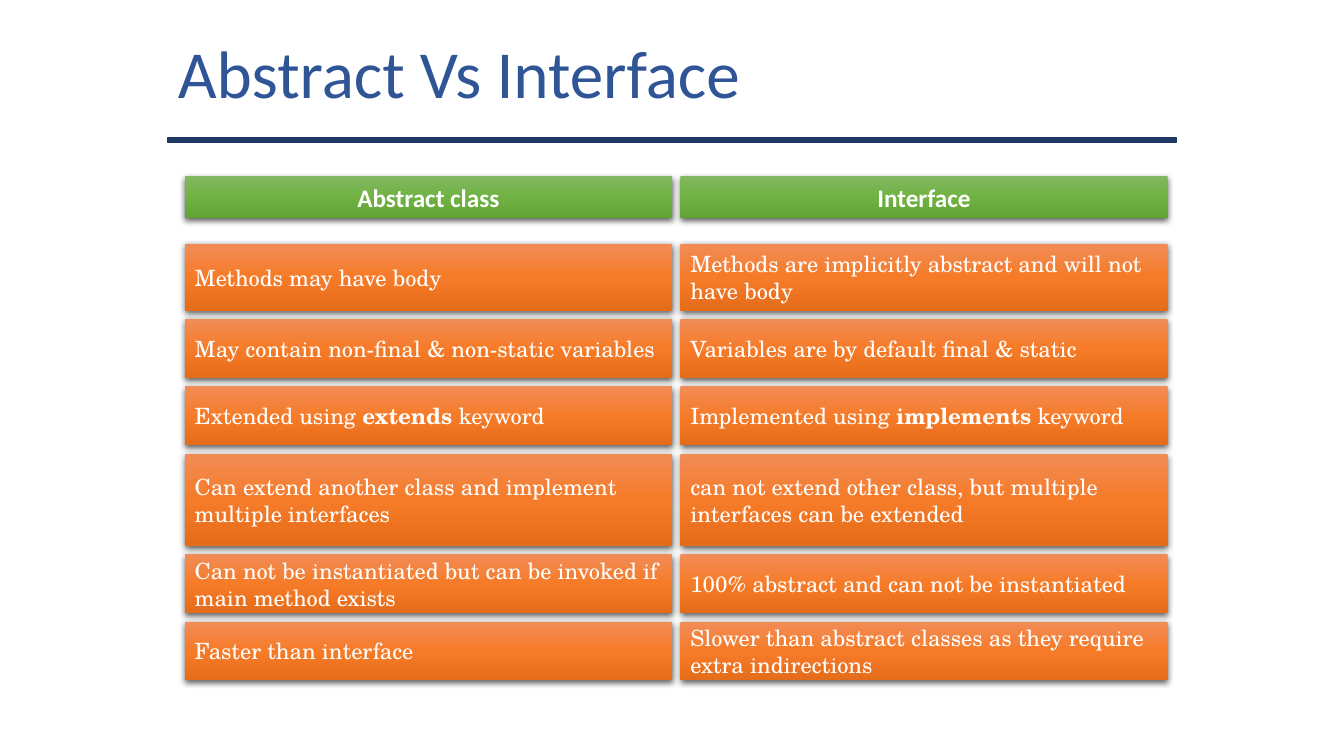
from copy import deepcopy

from lxml import etree
from pptx import Presentation
from pptx import util as u
from pptx.dml.color import RGBColor
from pptx.enum import shapes, text
from pptx.oxml.ns import qn

# Content: each cell is a list of (words, bold) runs
TITLE = "Abstract Vs Interface"
HEADS = ("Abstract class", "Interface")
ROWS = [  # height, left cell, right cell
    (64, [("Methods may have body", False)],
     [("Methods are implicitly abstract and will not have body", False)]),
    (56, [("May contain non-final & non-static variables", False)],
     [("Variables are by default final & static", False)]),
    (56, [("Extended using ", False), ("extends", True), (" keyword", False)],
     [("Implemented using ", False), ("implements", True), (" keyword", False)]),
    (88, [("Can extend another class and implement multiple interfaces", False)],
     [("can not extend other class, but multiple interfaces can be extended", False)]),
    (56, [("Can not be instantiated but can be invoked if main method exists", False)],
     [("100% abstract and can not be instantiated", False)]),
    (56, [("Faster than interface", False)],
     [("Slower than abstract classes as they require extra indirections", False)]),
]

# Colours and fonts
NAVY = RGBColor(0x20, 0x38, 0x64)
BLUE = RGBColor(0x2F, 0x55, 0x97)
WHITE = RGBColor(0xFF, 0xFF, 0xFF)
GREEN = (RGBColor(0x81, 0xB8, 0x61), RGBColor(0x6F, 0xB2, 0x42), RGBColor(0x62, 0xA3, 0x36))
ORANGE = (RGBColor(0xF1, 0x8C, 0x57), RGBColor(0xF6, 0x7B, 0x28), RGBColor(0xE5, 0x6C, 0x19))
SANS, BODY = "Calibri", "TeX Gyre Schola"
LEFT, CENTER = text.PP_ALIGN.LEFT, text.PP_ALIGN.CENTER

# Layout in px, 96 to the inch
PX = 9525
EDGE, WIDE, GAP = 176, 464, 8
HEAD_TOP, HEAD_TALL, ROW_TOP = 168, 40, 232

deck = Presentation()
deck.slide_width, deck.slide_height = 1280 * PX, 720 * PX
slide = deck.slides.add_slide(deck.slide_layouts[6])


def write(shape, runs, size, font, color, align=LEFT):
    frame = shape.text_frame
    frame.word_wrap = True
    frame.vertical_anchor = text.MSO_ANCHOR.MIDDLE
    para = frame.paragraphs[0]
    para.alignment = align
    for words, bold in runs:
        run = para.add_run()
        run.text = words
        run.font.size = u.Pt(size)
        run.font.name = font
        run.font.bold = bold
        run.font.color.rgb = color


def block(box):
    shape = slide.shapes.add_shape(shapes.MSO_SHAPE.RECTANGLE, *(n * PX for n in box))
    shape.shadow.inherit = False
    return shape


def cell(col, top, tall, shades):
    shape = block((EDGE + col * (WIDE + GAP), top, WIDE, tall))
    shape.line.fill.background()
    # Three-stop fill running downwards
    shape.fill.gradient()
    shape.fill.gradient_angle = 270
    props = shape._element.spPr
    stops = props.find(qn("a:gradFill")).find(qn("a:gsLst"))
    stops.append(deepcopy(stops[0]))
    for i, stop in enumerate(shape.fill.gradient_stops):
        stop.position = i / 2
        stop.color.rgb = shades[i]
    # Soft shadow below
    shade = etree.SubElement(props.find(qn("a:effectLst")), qn("a:outerShdw"),
                             blurRad=str(u.Pt(4.5)), dist=str(u.Pt(1.5)),
                             dir="5400000", algn="ctr", rotWithShape="0")
    black = etree.SubElement(shade, qn("a:srgbClr"), val="000000")
    etree.SubElement(black, qn("a:alpha"), val="63000")
    return shape


# Rule and title
rule = block((160, 131, 960, 5))
rule.fill.solid()
rule.fill.fore_color.rgb = rule.line.color.rgb = NAVY
rule.line.width = u.Pt(1)
title = slide.shapes.add_textbox(*(n * PX for n in (160, 0, 752, 136)))
write(title, [(TITLE, False)], 48, SANS, BLUE)

# Column heads
for col, head in enumerate(HEADS):
    write(cell(col, HEAD_TOP, HEAD_TALL, GREEN), [(head, True)], 18, SANS, WHITE, CENTER)

# Comparison rows
top = ROW_TOP
for tall, *pair in ROWS:
    for col, runs in enumerate(pair):
        write(cell(col, top, tall, ORANGE), runs, 16, BODY, WHITE)
    top += tall + GAP

deck.save("out.pptx")
